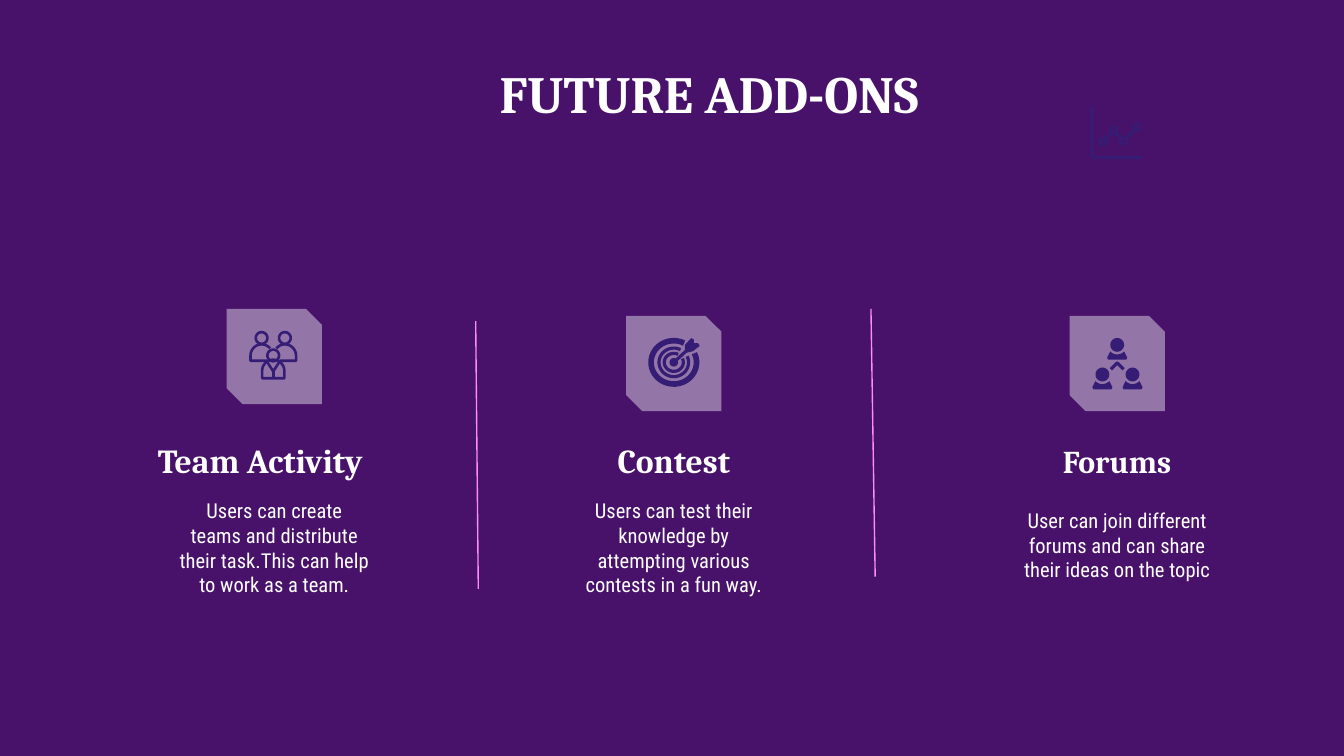
import math
from dataclasses import dataclass
from itertools import pairwise

import pptx
import pptx.util
import pptx.dml.color
import pptx.enum.shapes
import pptx.enum.text
import pptx.oxml.ns
from lxml import etree

Cm = pptx.util.Cm
Pt = pptx.util.Pt
ALIGN = pptx.enum.text.PP_ALIGN
ANCHOR = pptx.enum.text.MSO_ANCHOR
qn = pptx.oxml.ns.qn


@dataclass(frozen=True)
class Theme:
    background: str = "48126A"
    text: str = "FFFFFF"
    tile: str = "FFFFFF"
    tile_opacity: int = 42
    icon: str = "351C75"
    divider: str = "FF8CFF"
    heading_font: str = "Cambria"
    body_font: str = "Roboto Condensed"
    title_size: float = 28
    heading_size: float = 18
    small_heading_size: float = 17
    body_size: float = 11
    fine_stroke: float = 1.4
    icon_stroke: float = 1.7
    bold_stroke: float = 3


THEME = Theme()


def rgb(value):
    return pptx.dml.color.RGBColor.from_string(value)


def write_text(shape, text, font=THEME.body_font, size=THEME.body_size,
               bold=False, align=ALIGN.CENTER, anchor=ANCHOR.TOP):
    frame = shape.text_frame
    frame.word_wrap = True
    frame.auto_size = pptx.enum.text.MSO_AUTO_SIZE.NONE
    frame.vertical_anchor = anchor
    frame.margin_left = frame.margin_right = Cm(0.25)
    frame.margin_top = frame.margin_bottom = Cm(0.25)
    frame.text = text
    paragraph = frame.paragraphs[0]
    properties = paragraph._p.get_or_add_pPr()
    properties.set("marL", "0")
    properties.set("indent", "0")
    etree.SubElement(properties, qn("a:buNone"))
    paragraph.alignment = align
    paragraph.line_spacing = 1.0
    paragraph.space_before = Pt(0)
    run_font = paragraph.runs[0].font
    run_font.name, run_font.size, run_font.bold = font, Pt(size), bold
    run_font.color.rgb = rgb(THEME.text)


def place(shape, left, top, width, height):
    shape.left, shape.top = Cm(left), Cm(top)
    shape.width, shape.height = Cm(width), Cm(height)
    return shape


def arc(x, y, radius_x, start=0, end=360, radius_y=None):
    """Points along an ellipse; angles run clockwise from the right."""
    radius_y = radius_y or radius_x
    steps = max(8, round(abs(end - start) / 10))
    angles = [math.radians(start + (end - start) * i / steps) for i in range(steps + 1)]
    return [(x + radius_x * math.cos(a), y + radius_y * math.sin(a)) for a in angles]


def draw_path(slide, origin, points, stroke=None, closed=False):
    """Draw an outline of the given stroke, or a filled area without one."""
    corners = [(Cm(origin[0] + x), Cm(origin[1] + y)) for x, y in points]
    builder = slide.shapes.build_freeform(*corners[0])
    builder.add_line_segments(corners[1:], close=closed or not stroke)
    shape = builder.convert_to_shape()
    shape.shadow.inherit = False
    if stroke:
        shape.fill.background()
        shape.line.color.rgb = rgb(THEME.icon)
        shape.line.width = Pt(stroke)
    else:
        shape.fill.solid()
        shape.fill.fore_color.rgb = rgb(THEME.icon)
        shape.line.fill.background()


def team_icon(slide, origin):
    for x, y in ((0.24, 0.13), (0.68, 0.13), (0.46, 0.46)):
        draw_path(slide, origin, arc(x, y, 0.11), THEME.fine_stroke, closed=True)
    shoulder = [(0.34, 0.56), (0.03, 0.56)] + arc(0.24, 0.46, 0.21, 180, 320)
    front = [(0.25, 0.89)] + arc(0.46, 0.75, 0.21, 180, 360) + [(0.67, 0.89), (0.25, 0.89)]
    collar = [(0.35, 0.59), (0.46, 0.76), (0.57, 0.59)]
    stem = [(0.46, 0.76), (0.46, 0.89)]
    mirrored = [(0.92 - x, y) for x, y in shoulder]
    for points in (shoulder, mirrored, front, collar, stem):
        draw_path(slide, origin, points, THEME.fine_stroke)


def target_icon(slide, origin):
    x, y = 0.48, 0.46
    rings = ((0.43, 0.41, THEME.bold_stroke), (0.28, 0.27, THEME.icon_stroke),
             (0.18, 0.17, THEME.icon_stroke))
    for radius_x, radius_y, stroke in rings:
        draw_path(slide, origin, arc(x, y, radius_x, -25, 297, radius_y), stroke)
    draw_path(slide, origin, arc(x, y, 0.08))
    draw_path(slide, origin, [(x, y), (0.72, 0.24)], THEME.icon_stroke)
    draw_path(slide, origin, [(0.69, 0.23), (0.69, 0.13), (0.81, 0), (0.86, 0.03), (0.86, 0.1),
                              (0.94, 0.1), (0.97, 0.15), (0.84, 0.25), (0.71, 0.28)])


def forum_icon(slide, origin):
    for x, y in ((0.48, 0.13), (0.2, 0.69), (0.77, 0.69)):
        draw_path(slide, origin, arc(x, y, 0.13))
        draw_path(slide, origin, arc(x, y, 0.18, 137, 43) + [
            (x + 0.19, y + 0.24), (x + 0.17, y + 0.28), (x - 0.17, y + 0.28), (x - 0.19, y + 0.24)])
    draw_path(slide, origin, [(0.36, 0.59), (0.48, 0.47), (0.6, 0.59)], THEME.icon_stroke)


def chart_icon(slide, origin):
    draw_path(slide, origin, [(0.03, 0), (0.03, 0.95), (0.97, 0.95)], THEME.icon_stroke)
    nodes = [(0.23, 0.65), (0.43, 0.43), (0.61, 0.64), (0.86, 0.38)]
    for x, y in nodes:
        draw_path(slide, origin, arc(x, y, 0.06), THEME.fine_stroke, closed=True)
    for (x1, y1), (x2, y2) in pairwise(nodes):
        link = [(x1 + (x2 - x1) * t, y1 + (y2 - y1) * t) for t in (0.25, 0.75)]
        draw_path(slide, origin, link, THEME.icon_stroke)


def add_tile(slide, left, top, size, draw_icon):
    tile = slide.shapes.add_shape(pptx.enum.shapes.MSO_SHAPE.SNIP_2_DIAG_RECTANGLE,
                                  Cm(left), Cm(top), Cm(size), Cm(size))
    tile.adjustments[0], tile.adjustments[1] = 0, 0.167
    tile.shadow.inherit = False
    tile.line.fill.background()
    tile.fill.solid()
    tile.fill.fore_color.rgb = rgb(THEME.tile)
    color = tile._element.spPr.find(qn("a:solidFill"))[0]
    etree.SubElement(color, qn("a:alpha"), val=str(THEME.tile_opacity * 1000))
    draw_icon(slide, (left + 0.42, top + 0.42))


def add_divider(slide, x1, y1, x2, y2):
    line = slide.shapes.add_connector(pptx.enum.shapes.MSO_CONNECTOR.STRAIGHT,
                                      Cm(x1), Cm(y1), Cm(x2), Cm(y2))
    line.line.color.rgb = rgb(THEME.divider)
    line.line.width = Pt(0.75)
    etree.SubElement(line._element.spPr, qn("a:effectLst"))


def add_feature(slide, box, draw_icon, heading, description, holders, tile_top=0.13,
                heading_width=5.16, heading_shift=0, heading_size=THEME.heading_size,
                heading_align=ALIGN.CENTER, description_top=3.33):
    """Stack tile, heading and description about the middle of the box."""
    left, top, width, height = box
    middle = left + width / 2
    add_tile(slide, middle - 0.9, top + tile_top, 1.8, draw_icon)
    heading_shape, description_shape = holders
    place(heading_shape, middle - heading_width / 2 + heading_shift, top + 2.29, heading_width, 1.19)
    write_text(heading_shape, heading, font=THEME.heading_font, size=heading_size,
               bold=True, align=heading_align, anchor=ANCHOR.BOTTOM)
    place(description_shape, left, top + description_top, width, height - description_top)
    write_text(description_shape, description)


def build_slide(presentation):
    slide = presentation.slides.add_slide(presentation.slide_layouts.get_by_name("Comparison"))
    slide.background.fill.solid()
    slide.background.fill.fore_color.rgb = rgb(THEME.background)
    title = place(slide.shapes.title, 7.9, 0.91, 11, 1.45)
    write_text(title, "FUTURE ADD-ONS", font=THEME.heading_font, size=THEME.title_size, bold=True)
    chart_icon(slide, (20.62, 2.03))

    holders = slide.placeholders
    boxes = [slide.shapes.add_textbox(0, 0, 0, 0) for _ in range(2)]
    top, width, height = 5.84, 4.11, 5.6
    add_feature(slide, (3.13, top, width, height), team_icon, "Team Activity",
                "Users can create teams and distribute their task.This can help to work as a team.",
                (holders[1], holders[2]), tile_top=0, heading_shift=0.13,
                heading_align=ALIGN.LEFT)
    add_feature(slide, (10.68, top, width, height), target_icon, "Contest",
                "Users can test their knowledge by attempting various contests in a fun way.",
                (holders[3], holders[4]), heading_width=3.2)
    add_feature(slide, (19.06, top, width, height), forum_icon, "Forums",
                "User can join different forums and can share their ideas on the topic",
                boxes, heading_width=8.58, heading_size=THEME.small_heading_size,
                description_top=3.51)
    add_divider(slide, 8.99, 6.07, 9.04, 11.13)
    add_divider(slide, 16.46, 5.84, 16.54, 10.9)


def main():
    presentation = pptx.Presentation()
    presentation.slide_width, presentation.slide_height = Cm(25.4), Cm(14.29)
    build_slide(presentation)
    presentation.save("out.pptx")


if __name__ == "__main__":
    main()
